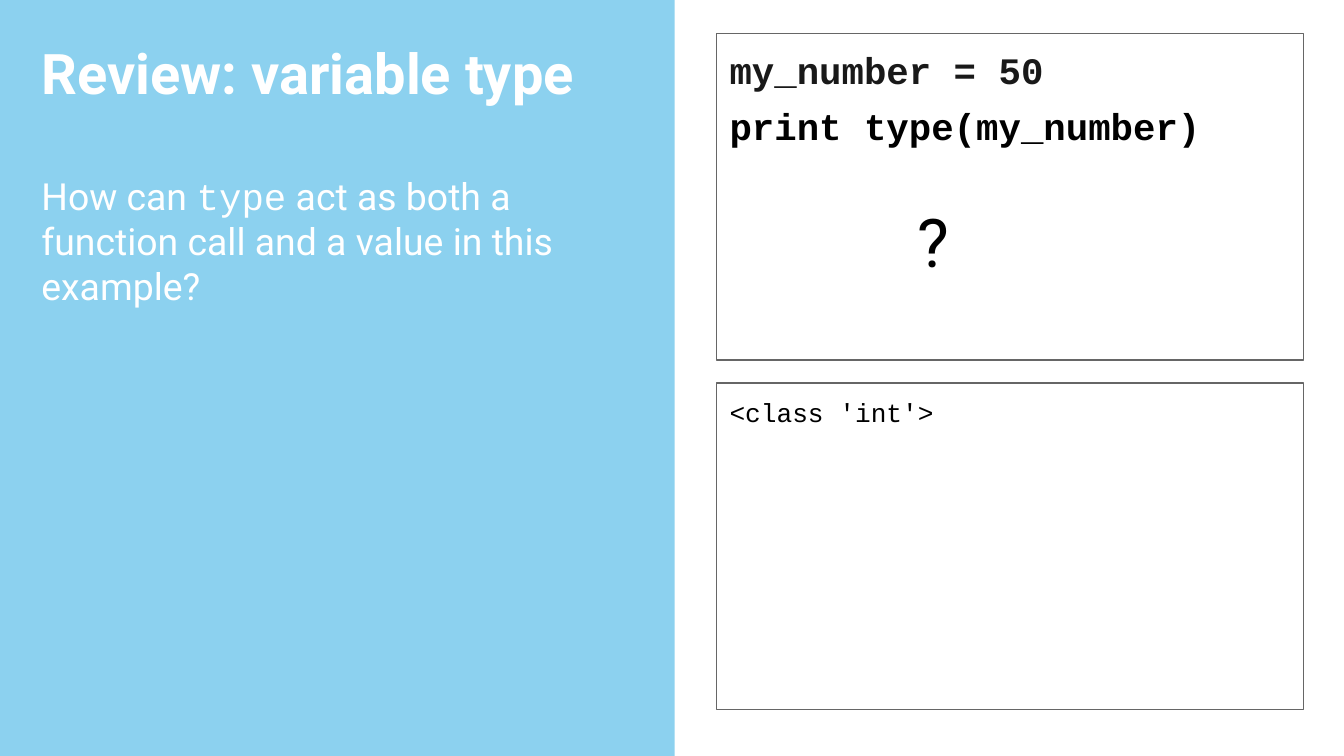
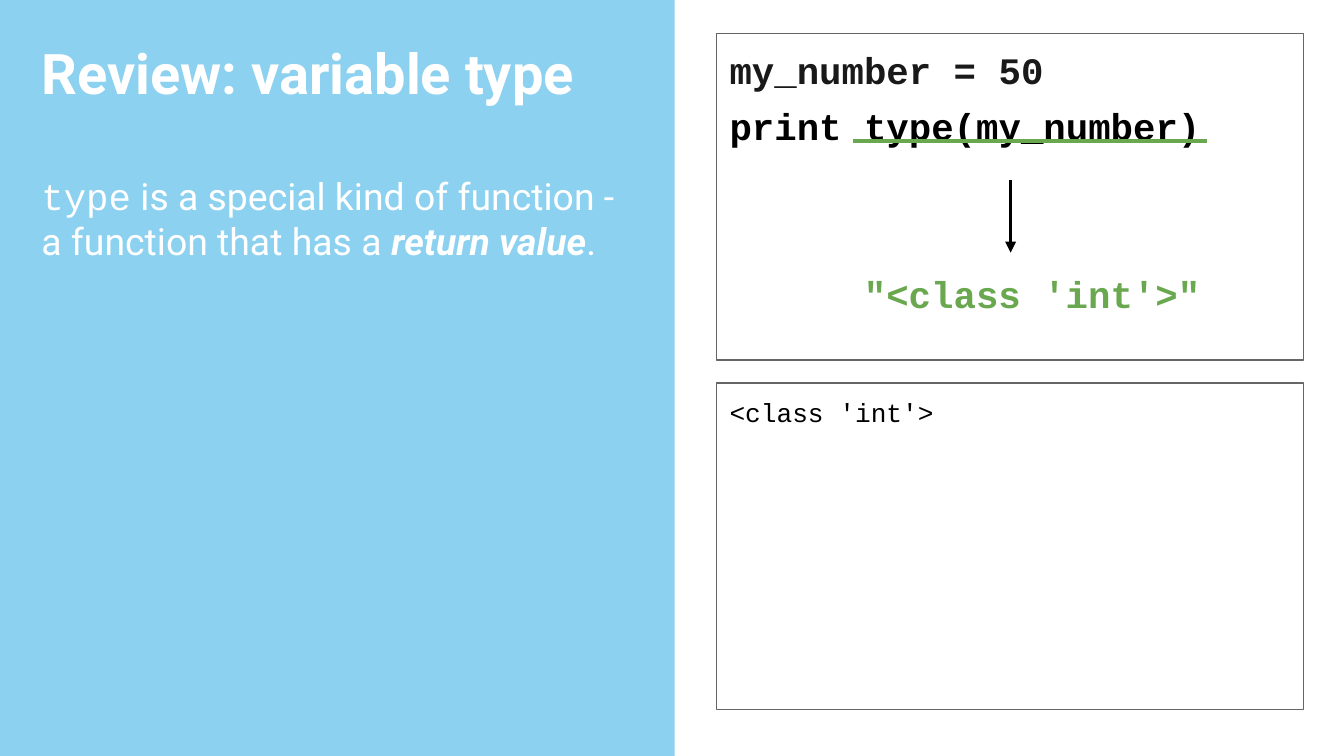
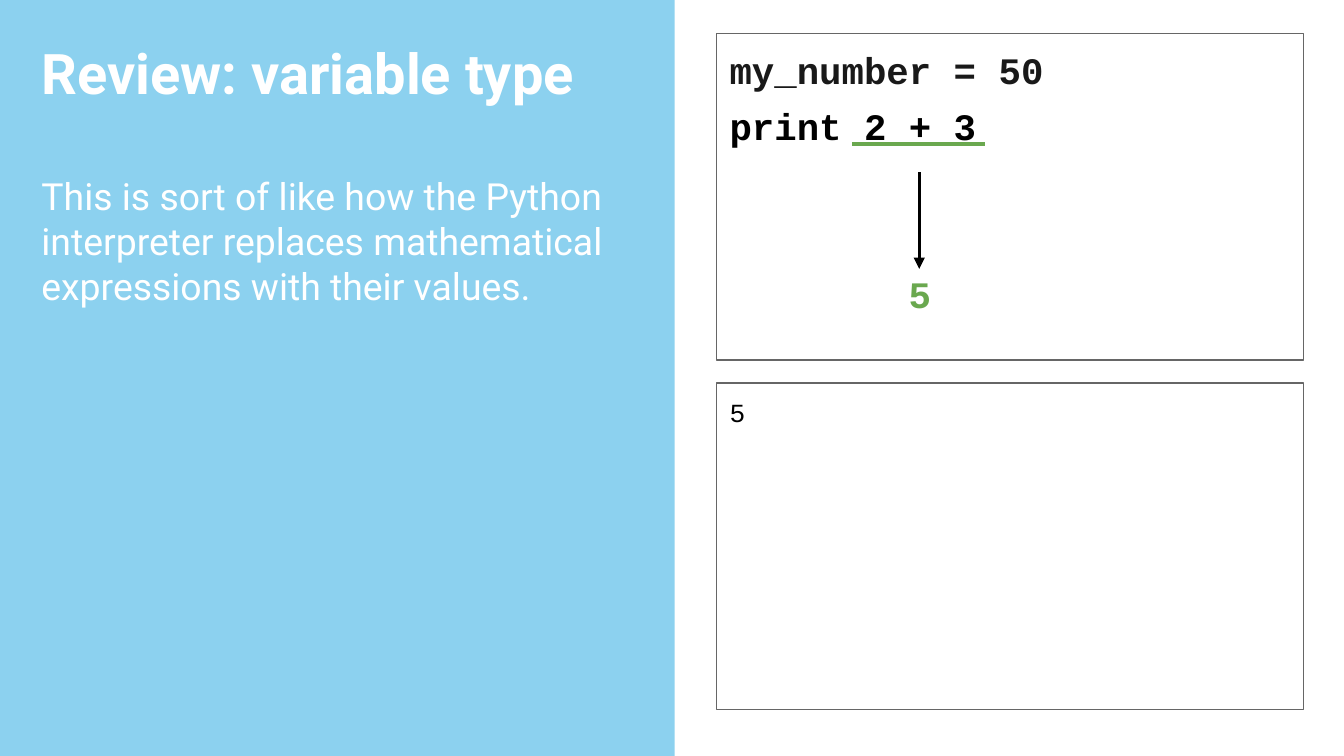
"""Build three review slides on variable types and return values."""
from lxml import etree
from pptx import Presentation
from pptx.dml.color import RGBColor
from pptx.enum.shapes import MSO_CONNECTOR, MSO_SHAPE
from pptx.enum.text import MSO_ANCHOR, MSO_AUTO_SIZE, PP_ALIGN
from pptx.oxml.ns import qn
from pptx.util import Inches, Pt

RECTANGLE = MSO_SHAPE.RECTANGLE
STRAIGHT = MSO_CONNECTOR.STRAIGHT
TOP, MIDDLE = MSO_ANCHOR.TOP, MSO_ANCHOR.MIDDLE
LEFT, CENTER = PP_ALIGN.LEFT, PP_ALIGN.CENTER
NO_AUTOFIT = MSO_AUTO_SIZE.NONE

COLORS = {"band": "27A9E1", "white": "FFFFFF", "border": "666666",
          "black": "000000", "code": "191919", "result": "6AA84F"}
SANS, MONO = "Roboto", "Courier New"
SLIDE_WIDTH = 10
SLIDE_HEIGHT = SLIDE_WIDTH * 9 / 16
CHARACTER = 1 / 6
PANEL_LEFT, PANEL_WIDTH, PANEL_HEIGHT = 5.33, 4.37, 2.43
CODE_TOP, OUTPUT_TOP = 0.25, 2.85


def write(frame, runs, size, font=SANS, color="white", bold=False, italic=False,
          align=LEFT, anchor=TOP, before=0, indent=0, new_paragraph=False):
    frame.word_wrap = True
    frame.auto_size = NO_AUTOFIT
    frame.vertical_anchor = anchor
    frame.margin_left = frame.margin_right = Inches(0.1)
    frame.margin_top = frame.margin_bottom = Inches(0.1)
    paragraph = frame.add_paragraph() if new_paragraph else frame.paragraphs[0]
    paragraph.alignment = align
    paragraph.space_before = Pt(before)
    if indent:
        paragraph._p.get_or_add_pPr().set("marL", str(Inches(indent)))
    for text, changes in runs:
        look = {"font": font, "bold": bold, "italic": italic, **changes}
        run = paragraph.add_run()
        run.text = text
        run.font.name = look["font"]
        run.font.size = Pt(size)
        run.font.bold = look["bold"]
        run.font.italic = look["italic"]
        run.font.color.rgb = RGBColor.from_string(COLORS[color])


def draw_line(slide, start, end, color, width, arrow=False):
    line = slide.shapes.add_connector(STRAIGHT, *map(Inches, start + end))
    line.line.color.rgb = RGBColor.from_string(COLORS[color])
    line.line.width = Pt(width)
    if arrow:
        etree.SubElement(line.line._get_or_add_ln(), qn("a:tailEnd"), type="triangle")
    etree.SubElement(line.element.spPr, qn("a:effectLst"))


lessons = [
    {"explanation": [("How can ", {}), ("type", {"font": MONO}),
                     (" act as both a function call and a value in this example?", {})],
     "call": "print type(my_number)", "output": "<class 'int'>"},
    {"explanation": [("type", {"font": MONO}),
                     (" is a special kind of function - a function that has a ", {}),
                     ("return value", {"bold": True, "italic": True}), (".", {})],
     "call": "print type(my_number)", "output": "<class 'int'>",
     "result": "\"<class 'int'>\"", "result_column": 6,
     "arrow": ((7.52, 1.34), (7.52, 1.88)),
     "underline": ((6.35, 1.05), (8.98, 1.05))},
    {"explanation": [("This is sort of like how the Python interpreter replaces "
                      "mathematical expressions with their values.", {})],
     "call": "print 2 + 3", "output": "5",
     "result": "5", "result_column": 8,
     "arrow": ((6.84, 1.28), (6.84, 2)),
     "underline": ((6.34, 1.07), (7.33, 1.07))},
]

deck = Presentation()
deck.slide_width, deck.slide_height = Inches(SLIDE_WIDTH), Inches(SLIDE_HEIGHT)
layout = deck.slide_layouts[5]
slides = [deck.slides.add_slide(layout) for lesson in lessons]

band = slides[0].shapes.add_shape(
    RECTANGLE, Inches(0), Inches(-0.05), Inches(5.02), Inches(SLIDE_HEIGHT + 0.05))
band.shadow.inherit = False
band.fill.solid()
band.fill.fore_color.rgb = RGBColor.from_string(COLORS["band"])
band.line.fill.background()
band_color = band.element.find(".//" + qn("a:srgbClr"))
etree.SubElement(band_color, qn("a:alpha"), val="53000")
layout.shapes.element.insert(2, band.element)

for slide, lesson in zip(slides, lessons):
    title = slide.shapes.title
    title.left, title.top = Inches(0.21), Inches(0.19)
    title.width, title.height = Inches(4.64), Inches(0.7)
    write(title.text_frame, [("Review: variable type", {})], 30, bold=True)

    explanation = slide.shapes.add_textbox(
        Inches(0.21), Inches(1.19), Inches(4.64), Inches(1.2))
    write(explanation.text_frame, lesson["explanation"], 20)

    panels = []
    for top in (OUTPUT_TOP, CODE_TOP):
        panel = slide.shapes.add_shape(
            RECTANGLE, Inches(PANEL_LEFT), Inches(top),
            Inches(PANEL_WIDTH), Inches(PANEL_HEIGHT))
        panel.shadow.inherit = False
        panel.fill.background()
        panel.line.color.rgb = RGBColor.from_string(COLORS["border"])
        panel.line.width = Pt(0.75)
        panels.append(panel.text_frame)
    output, code = panels

    write(output, [(lesson["output"], {})], 14, font=MONO, color="black")
    write(code, [("my_number = 50", {})], 20, font=MONO, color="code",
          bold=True, before=6)
    write(code, [(lesson["call"], {})], 20, font=MONO, color="black",
          bold=True, before=6, new_paragraph=True)

    if "result" in lesson:
        write(code, [(lesson["result"], {})], 20, font=MONO, color="result",
              bold=True, before=66, indent=lesson["result_column"] * CHARACTER,
              new_paragraph=True)
        draw_line(slide, *lesson["arrow"], "black", 1.5, arrow=True)
        draw_line(slide, *lesson["underline"], "result", 2.25)
    else:
        question = slide.shapes.add_textbox(
            Inches(6.39), Inches(1.39), Inches(1.11), Inches(0.8))
        write(question.text_frame, [("?", {})], 36, color="black",
              align=CENTER, anchor=MIDDLE)

deck.save("out.pptx")
